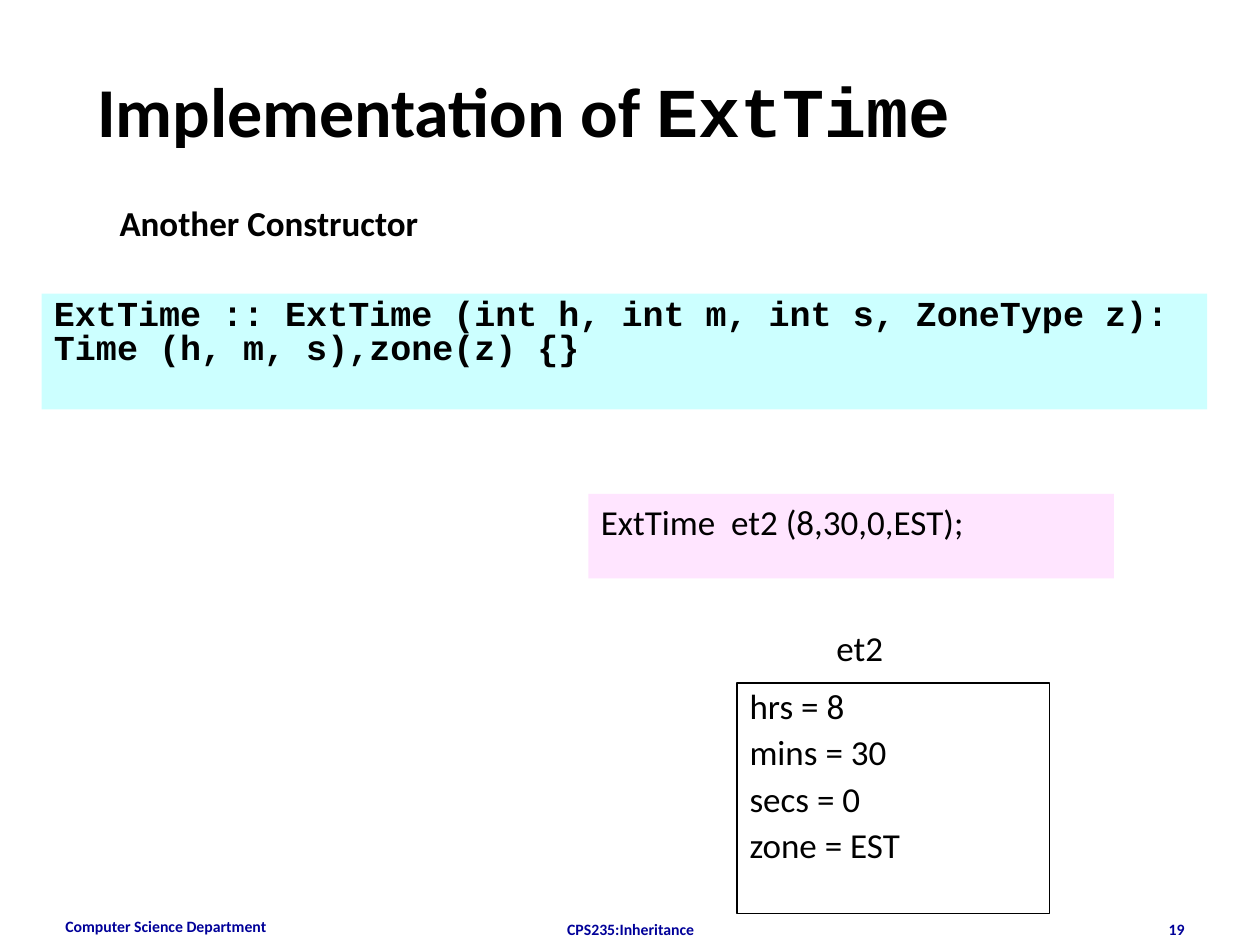
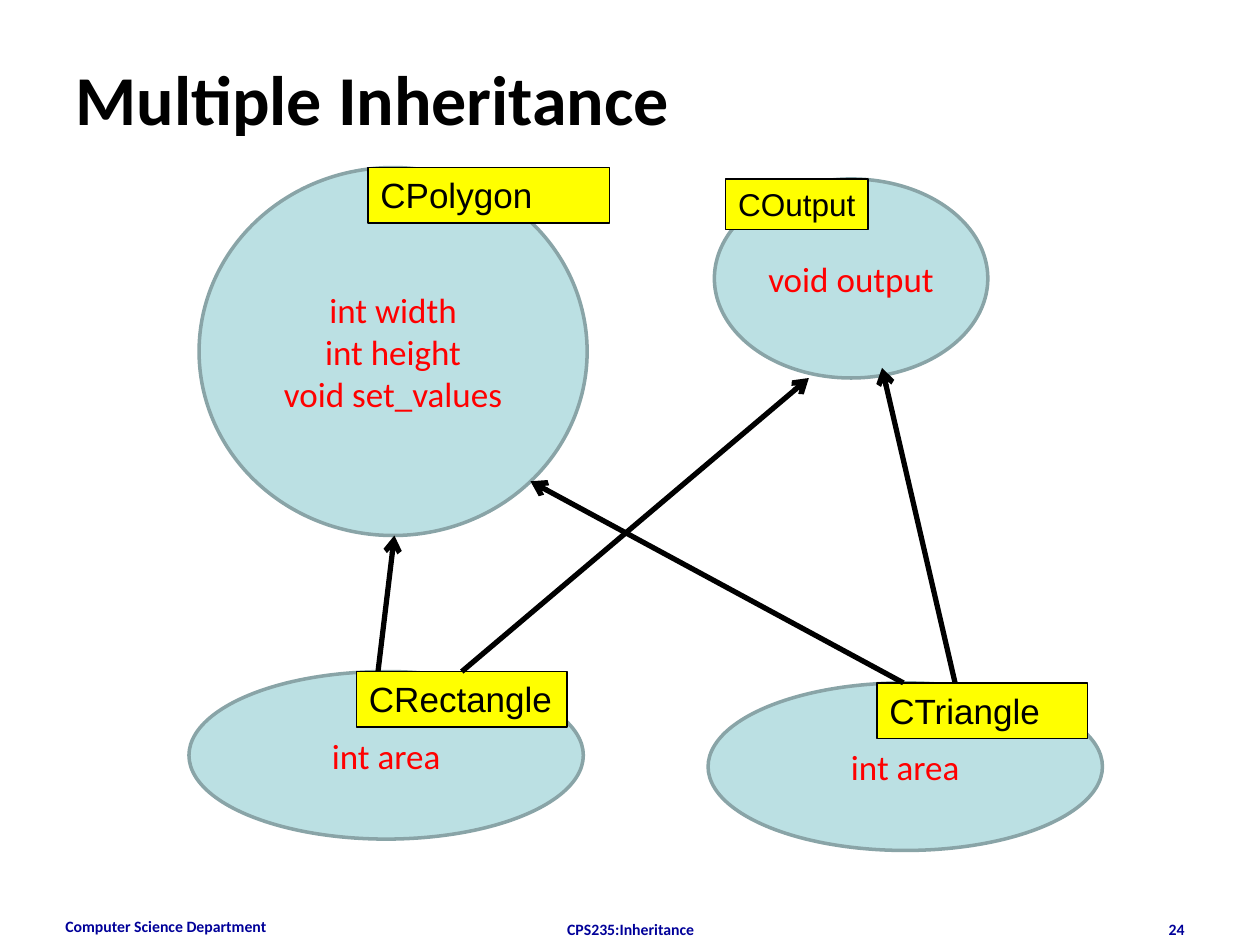
"""Build two slides on constructors and multiple inheritance."""
from dataclasses import dataclass
from typing import Any, Optional

import pptx
import pptx.dml.color
import pptx.enum.shapes
import pptx.enum.text
import pptx.oxml
import pptx.oxml.ns
import pptx.util

PX = 9144  
COLOURS = {
    "black": "000000", "navy": "000099", "red": "FF0000", "cyan": "CCFFFF",
    "pink": "FFE5FF", "yellow": "FFFF00", "teal": "BBE0E3", "edge": "89A4A7",
}
ALIGN = pptx.enum.text.PP_ALIGN
ANCHOR = pptx.enum.text.MSO_ANCHOR
SHAPE = pptx.enum.shapes.MSO_SHAPE
RECT, OVAL = SHAPE.RECTANGLE, SHAPE.OVAL
Rect = tuple[int, int, int, int]
Point = tuple[int, int]


@dataclass(frozen=True)
class Style:
    font: dict[str, Any]
    paragraph: dict[str, Any]
    colour: str = "black"
    anchor: Any = ANCHOR.TOP
    shape: Any = None
    fill: Optional[str] = None
    line: Optional[str] = None
    weight: float = 0.75
    gap: float = 0


@dataclass(frozen=True)
class Box:
    at: Rect
    style: Style
    lines: tuple[str, ...]
    wrap: bool = True


@dataclass(frozen=True)
class Arrow:
    start: Point
    end: Point
    source: Optional[str] = None


def font(size: int, name: str = "Calibri", bold: bool = False) -> dict[str, Any]:
    return {"size": pptx.util.Pt(size), "name": name, "bold": bold}


def footer_style(align: Any) -> Style:
    return Style(font(9, bold=True), {"alignment": align}, "navy")


LEFT = {"alignment": ALIGN.LEFT}
TITLE = Style(font(40, bold=True), LEFT, anchor=ANCHOR.MIDDLE)
LOW_TITLE = Style(font(40, bold=True), LEFT, anchor=ANCHOR.BOTTOM)
HEADING = Style(font(20, bold=True), LEFT)
CAPTION = Style(font(20), LEFT)
CODE = Style(font(20, "Courier New", True), {**LEFT, "line_spacing": 0.8},
             shape=RECT, fill="cyan")
CALL = Style(font(20), LEFT, shape=RECT, fill="pink")
FIELDS = Style(font(20), {**LEFT, "line_spacing": 0.9}, shape=RECT, line="black", gap=5)
MEMBERS = Style(font(20), {"alignment": ALIGN.CENTER}, "red", ANCHOR.MIDDLE,
                OVAL, "teal", "edge", 2)
LABEL = Style(font(20, "Arial"), LEFT, shape=RECT, fill="yellow", line="black")
SMALL_LABEL = Style(font(18, "Arial"), LEFT, shape=RECT, fill="yellow", line="black")

CONSTRUCTOR = (
    Box((85, 155, 258, 44), HEADING, ("Another Constructor",), False),
    Box((33, 233, 925, 92), CODE,
        ("ExtTime :: ExtTime (int h, int m, int s, ZoneType z): \tTime (h, m, s),zone(z) {}",)),
    Box((467, 392, 417, 67), CALL, ("ExtTime  et2 (8,30,0,EST);",)),
    Box((585, 542, 248, 183), FIELDS, ("hrs = 8", "mins = 30", "secs = 0", "zone = EST")),
    Box((654, 492, 57, 44), CAPTION, ("et2",), False),
)
CLASSES = (
    Box((567, 142, 217, 158), MEMBERS, ("void output",)),
    Box((158, 133, 308, 292), MEMBERS, ("int width", "int height", "void set_values")),
    Box((292, 133, 192, 44), LABEL, ("CPolygon",)),
    Box((576, 142, 113, 40), SMALL_LABEL, ("COutput",), False),
    Box((150, 533, 313, 133), MEMBERS, ("int area",)),
    Box((283, 533, 167, 44), LABEL, ("CRectangle",)),
    Box((562, 542, 313, 133), MEMBERS, ("int area",)),
    Box((696, 542, 167, 44), LABEL, ("CTriangle",)),
)
INHERITANCE = (
    Arrow((300, 533), (313, 425)),
    Arrow((367, 533), (642, 300), "CRectangle"),
    Arrow((717, 542), (421, 382)),
    Arrow((758, 542), (700, 292)),
)


def emu(*lengths: int) -> list[pptx.util.Emu]:
    return [pptx.util.Emu(n * PX) for n in lengths]


def rgb(name: str) -> pptx.dml.color.RGBColor:
    return pptx.dml.color.RGBColor.from_string(COLOURS[name])


def set_attributes(target: Any, values: dict[str, Any]) -> None:
    for name, value in values.items():
        setattr(target, name, value)


def add_run(p: Any, text: str, style: Style, **changes: Any) -> None:
    r = p.add_run()
    r.text = text
    set_attributes(r.font, {**style.font, **changes})
    r.font.color.rgb = rgb(style.colour)


def format_frame(tf: Any, style: Style, wrap: bool = True) -> None:
    set_attributes(tf, {"auto_size": pptx.enum.text.MSO_AUTO_SIZE.NONE,
                        "word_wrap": wrap, "vertical_anchor": style.anchor})


def add_box(s: Any, box: Box) -> Any:
    style = box.style
    if style.shape is None:
        sp = s.shapes.add_textbox(*emu(*box.at))
    else:
        sp = s.shapes.add_shape(style.shape, *emu(*box.at))
        sp.shadow.inherit = False
        if style.fill:
            sp.fill.solid()
            sp.fill.fore_color.rgb = rgb(style.fill)
        else:
            sp.fill.background()
        if style.line:
            sp.line.color.rgb = rgb(style.line)
            sp.line.width = pptx.util.Pt(style.weight)
        else:
            sp.line.fill.background()
    tf = sp.text_frame
    format_frame(tf, style, box.wrap)
    for i, text in enumerate(box.lines):
        p = tf.add_paragraph() if i else tf.paragraphs[0]
        set_attributes(p, style.paragraph)
        if i:
            p.space_before = pptx.util.Pt(style.gap)
        add_run(p, text, style)
    return sp


def add_arrow(s: Any, arrow: Arrow, shapes: dict[str, Any]) -> None:
    straight = pptx.enum.shapes.MSO_CONNECTOR.STRAIGHT
    c = s.shapes.add_connector(straight, *emu(*arrow.start, *arrow.end))
    if arrow.source:
        c.begin_connect(shapes[arrow.source], 0)
    c.line.color.rgb = rgb("black")
    c.line.width = pptx.util.Pt(3)
    tail = pptx.oxml.parse_xml(f'<a:tailEnd {pptx.oxml.ns.nsdecls("a")} type="arrow"/>')
    c.line._get_or_add_ln().append(tail)
    c._element.spPr.append(
        pptx.oxml.parse_xml(f'<a:effectLst {pptx.oxml.ns.nsdecls("a")}/>'))


def add_slide(prs: Any, number: int, title: str, at: Rect, style: Style,
              code: str = "") -> Any:
    s = prs.slides.add_slide(prs.slide_layouts.get_by_name("Title Only"))
    sp = s.shapes.title
    set_attributes(sp, dict(zip(("left", "top", "width", "height"), emu(*at))))
    format_frame(sp.text_frame, style)
    p = sp.text_frame.paragraphs[0]
    set_attributes(p, style.paragraph)
    add_run(p, title, style)
    if code:
        add_run(p, code, style, name="Courier New")
    for box in (
        Box((42, 723, 233, 27), footer_style(ALIGN.LEFT), ("Computer Science Department",)),
        Box((342, 725, 317, 10), footer_style(ALIGN.CENTER), ("CPS235:Inheritance",)),
        Box((717, 725, 233, 10), footer_style(ALIGN.RIGHT), (str(number),)),
    ):
        add_box(s, box)
    return s


def main() -> None:
    prs = pptx.Presentation()
    prs.slide_width, prs.slide_height = emu(1000, 750)

    s = add_slide(prs, 19, "Implementation of ", (67, 33, 858, 92), LOW_TITLE, "ExtTime")
    for box in CONSTRUCTOR:
        add_box(s, box)

    s = add_slide(prs, 24, "Multiple Inheritance", (50, 30, 900, 95), TITLE)
    shapes = {box.lines[0]: add_box(s, box) for box in CLASSES}
    for arrow in INHERITANCE:
        add_arrow(s, arrow, shapes)

    prs.save("out.pptx")


if __name__ == "__main__":
    main()
